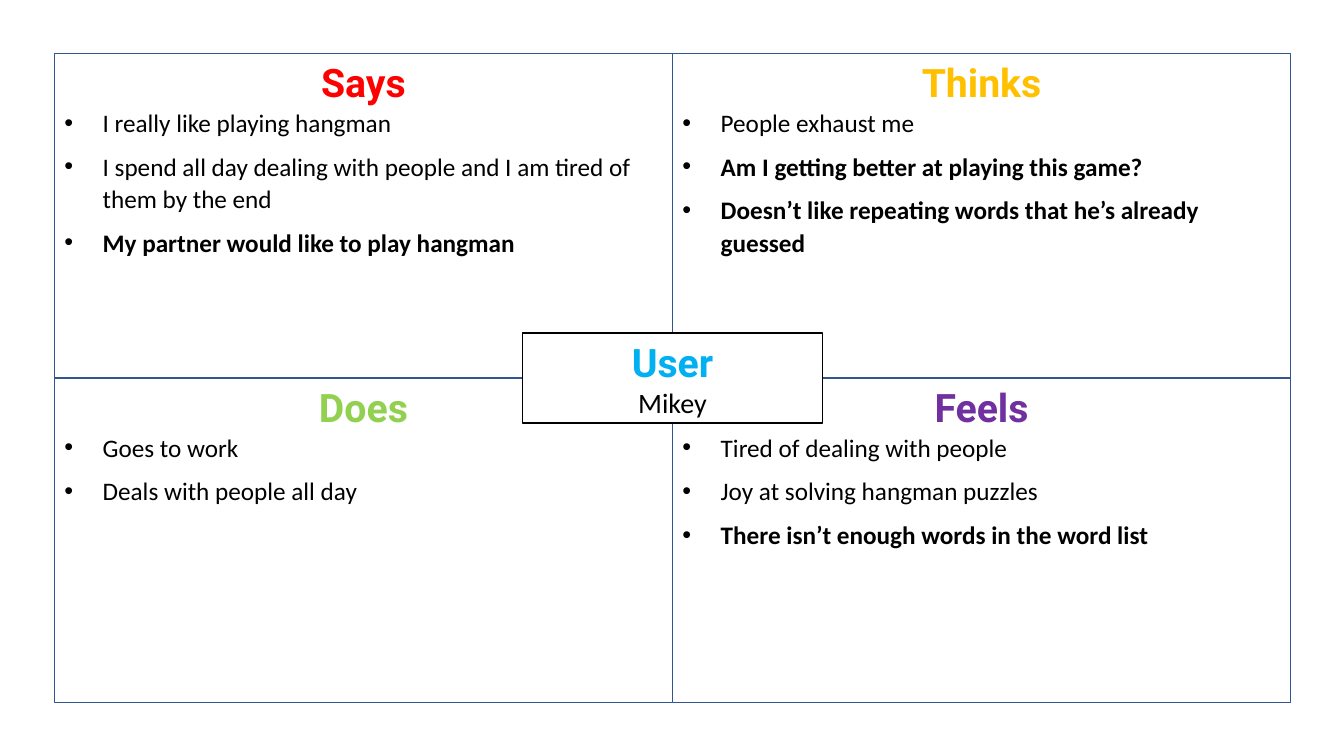
from pptx import Presentation
from pptx.dml.color import RGBColor
from pptx.enum.shapes import MSO_SHAPE as Shape
from pptx.enum.text import MSO_ANCHOR as Anchor, PP_ALIGN as Align
from pptx.oxml.ns import qn
from pptx.util import Inches, Pt
from lxml.etree import SubElement

WHITE = RGBColor(0xFF, 0xFF, 0xFF)
BLACK = RGBColor(0x00, 0x00, 0x00)
BLUE = RGBColor(0x32, 0x54, 0x91)
RED = RGBColor(0xFF, 0x00, 0x00)
AMBER = RGBColor(0xFF, 0xC0, 0x00)
GREEN = RGBColor(0x92, 0xD0, 0x50)
PURPLE = RGBColor(0x70, 0x30, 0xA0)
SKY = RGBColor(0x00, 0xB0, 0xF0)


class EmpathyMap:
    """Holds the style and the current slide."""

    title_font, body_font = "Roboto", "Calibri"
    title_size, bullet_size, name_size = 28, 18, 20
    indent = 0.38

    def __init__(self, slide):
        self.slide = slide

    def format(self, paragraph, font_name, size, color, bold=False):
        for run in paragraph.runs:
            font = run.font
            font.name, font.size, font.bold = font_name, Pt(size), bold
            font.color.rgb = color

    def box(self, left, top, width, height, line_color, title, title_color):
        shape = self.slide.shapes.add_shape(
            Shape.RECTANGLE, Inches(left), Inches(top), Inches(width), Inches(height))
        shape.shadow.inherit = False
        shape.fill.solid()
        shape.fill.fore_color.rgb = WHITE
        shape.line.color.rgb = line_color
        shape.line.width = Pt(1)
        frame = shape.text_frame
        frame.word_wrap = True
        frame.vertical_anchor = Anchor.TOP
        frame.text = title
        heading = frame.paragraphs[0]
        heading.alignment = Align.CENTER
        self.format(heading, self.title_font, self.title_size, title_color, True)
        return frame

    def bullet(self, frame, text, bold):
        paragraph = frame.add_paragraph()
        paragraph.text = text
        paragraph.alignment = Align.LEFT
        paragraph.line_spacing = 1.07
        paragraph.space_after = Pt(8)
        self.format(paragraph, self.body_font, self.bullet_size, BLACK, bold)
        properties = paragraph._p.get_or_add_pPr()
        properties.set("marL", str(Inches(self.indent)))
        properties.set("indent", str(-Inches(self.indent)))
        SubElement(properties, qn("a:buFont"), typeface="Arial")
        SubElement(properties, qn("a:buChar"), char="•")

    def name(self, frame, text):
        paragraph = frame.add_paragraph()
        paragraph.text = text
        paragraph.alignment = Align.CENTER
        self.format(paragraph, self.body_font, self.name_size, BLACK)


presentation = Presentation()
presentation.slide_width, presentation.slide_height = Inches(13.33), Inches(7.5)
empathy_map = EmpathyMap(presentation.slides.add_slide(presentation.slide_layouts[6]))

# Quadrants, row by row: title, colour, bullets as (text, bold)
LEFT, TOP, WIDTH, HEIGHT = 0.54, 0.53, 6.13, 3.22
QUADRANTS = [
    ("Says", RED, [
        ("I really like playing hangman", False),
        ("I spend all day dealing with people and I am tired of them by the end", False),
        ("My partner would like to play hangman", True)]),
    ("Thinks", AMBER, [
        ("People exhaust me", False),
        ("Am I getting better at playing this game?", True),
        ("Doesn’t like repeating words that he’s already guessed", True)]),
    ("Does", GREEN, [
        ("Goes to work", False),
        ("Deals with people all day", False)]),
    ("Feels", PURPLE, [
        ("Tired of dealing with people", False),
        ("Joy at solving hangman puzzles", False),
        ("There isn’t enough words in the word list", True)]),
]
for index, (title, color, bullets) in enumerate(QUADRANTS):
    row, column = divmod(index, 2)
    quadrant = empathy_map.box(LEFT + column * WIDTH, TOP + row * HEIGHT,
                               WIDTH, HEIGHT, BLUE, title, color)
    for text, bold in bullets:
        empathy_map.bullet(quadrant, text, bold)

# User box, centred where the quadrants meet
USER_WIDTH, USER_HEIGHT = 2.98, 0.89
user = empathy_map.box(LEFT + WIDTH - USER_WIDTH / 2, TOP + HEIGHT - USER_HEIGHT / 2,
                       USER_WIDTH, USER_HEIGHT, BLACK, "User", SKY)
empathy_map.name(user, "Mikey")

presentation.save("out.pptx")
